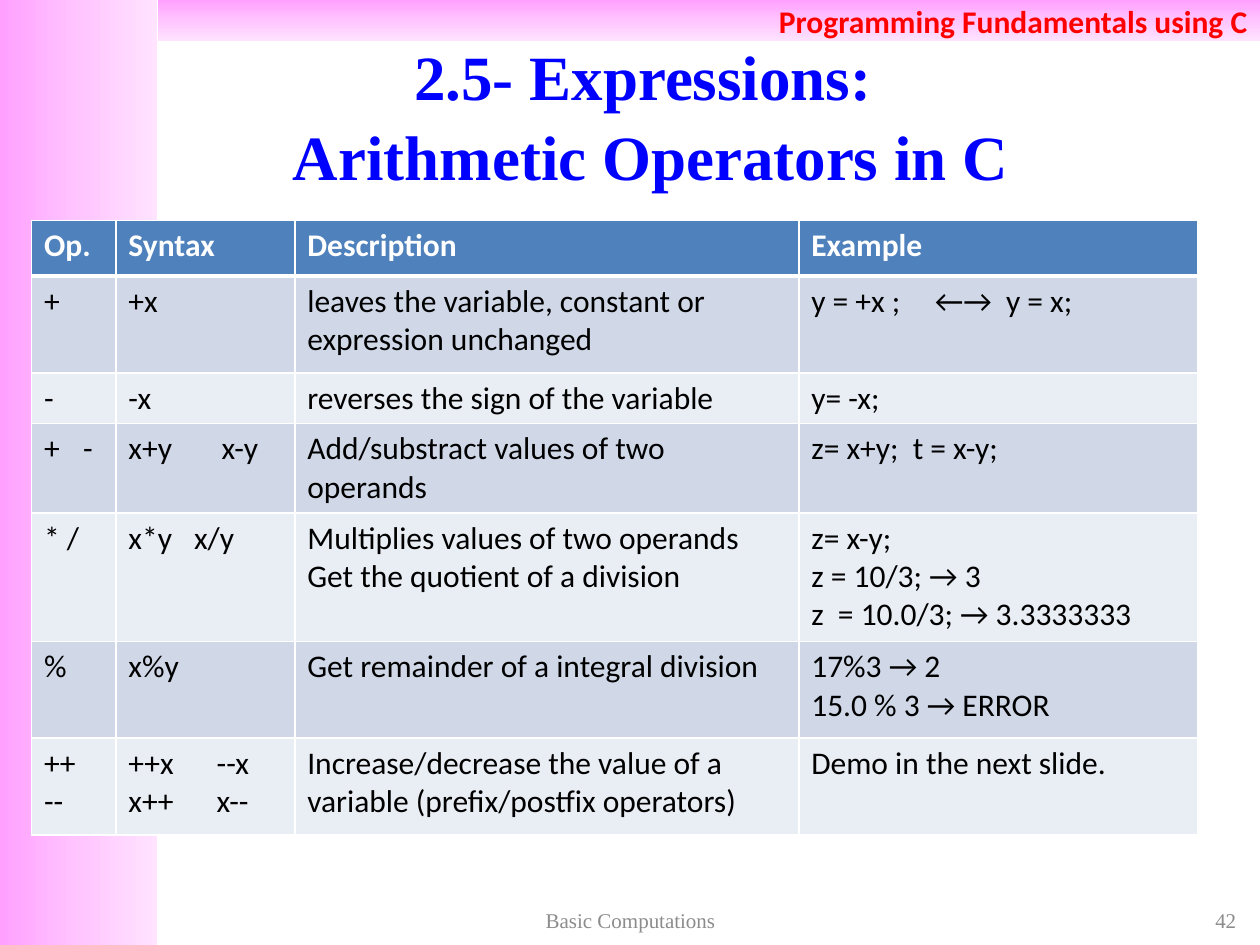
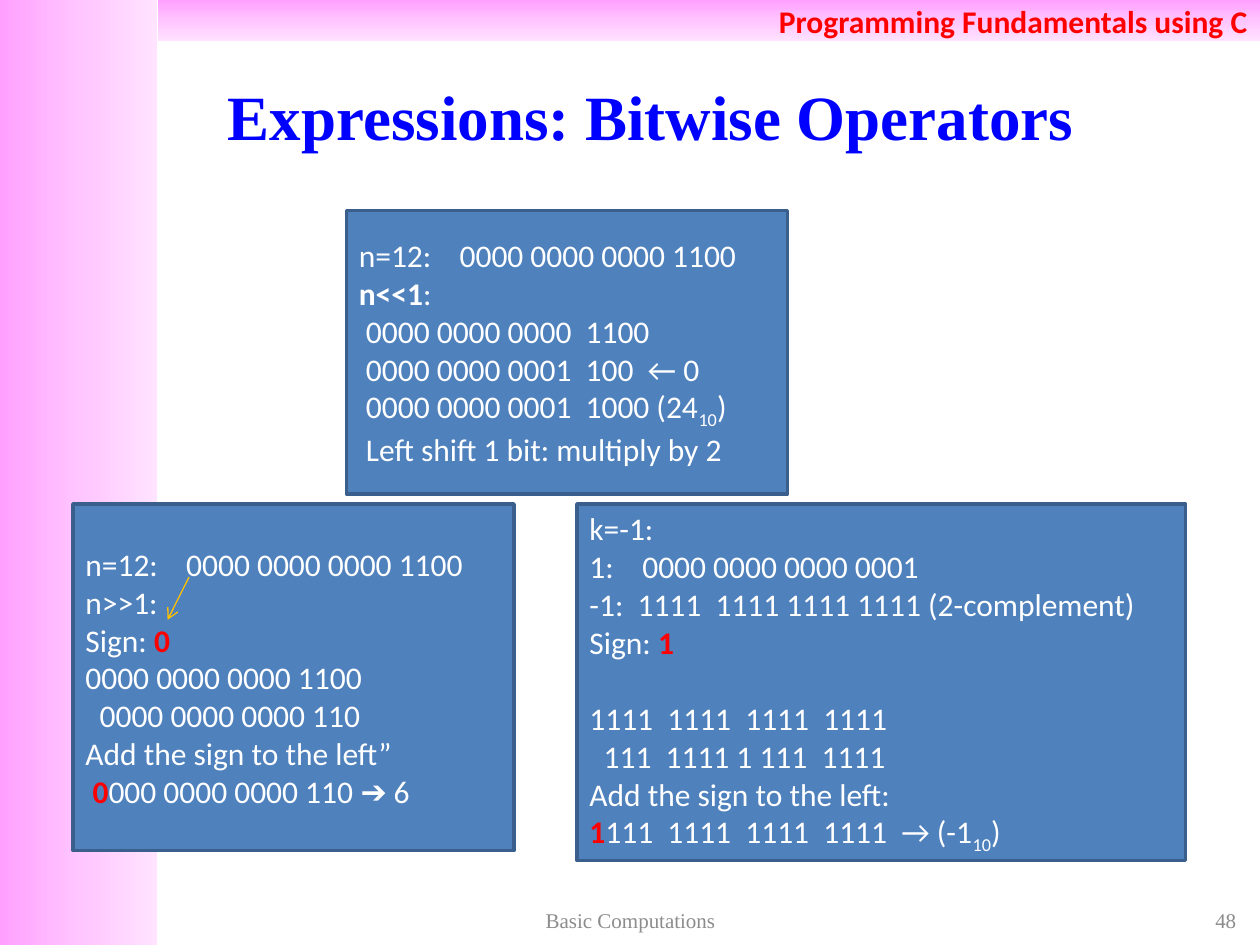
from dataclasses import dataclass

from lxml import etree
from pptx import Presentation
from pptx.dml.color import RGBColor
from pptx.enum.shapes import MSO_CONNECTOR, MSO_SHAPE
from pptx.enum.text import MSO_ANCHOR, PP_ALIGN
from pptx.oxml import parse_xml
from pptx.oxml.ns import nsdecls, qn
from pptx.util import Inches, Pt

RECTANGLE = MSO_SHAPE.RECTANGLE
STRAIGHT = MSO_CONNECTOR.STRAIGHT
TOP, MIDDLE = MSO_ANCHOR.TOP, MSO_ANCHOR.MIDDLE
LEFT, CENTER, RIGHT = PP_ALIGN.LEFT, PP_ALIGN.CENTER, PP_ALIGN.RIGHT


@dataclass(frozen=True)
class Theme:
    sans: str = "Calibri"
    serif: str = "Times New Roman"
    title_size: int = 36
    body_size: int = 18
    footer_size: int = 12
    title: str = "0000FF"
    accent: str = "FF0000"
    footer: str = "8C8C8C"
    light: str = "FFFFFF"
    dark: str = "000000"
    panel: str = "4F81BD"
    panel_line: str = "3A5F8C"
    arrow: str = "FFC000"
    row_bands: tuple = ("E9EDF4", "D0D8E8")
    band_stops: tuple = ((0, "FFA0FF"), (50, "FFC5FF"), (100, "FFE3FF"))


@dataclass(frozen=True)
class Font:
    name: str
    size: int
    color: str
    bold: bool = False


@dataclass(frozen=True)
class Span:
    text: str
    bold: bool = False
    color: str = ""
    subscript: bool = False


@dataclass(frozen=True)
class Line:
    spans: tuple
    tab: float = 0
    before: float = 0


def line(*parts, tab=0, before=0):
    spans = tuple(Span(part) if isinstance(part, str) else part for part in parts)
    return Line(spans, tab, before)


class Lesson:
    def __init__(self, theme):
        self.theme = theme
        self.deck = Presentation()
        self.deck.slide_width = Inches(10)
        self.deck.slide_height = Inches(7.5)
        self.page = None
        self.body = Font(theme.sans, theme.body_size, theme.light)

    def start_page(self, title, number):
        theme = self.theme
        self.page = self.deck.slides.add_slide(self.deck.slide_layouts[6])
        self.band(0, 0, 1.25, 7.5, 0)
        header = self.band(1.25, 0, 8.75, 0.33, 90)
        banner = Font(theme.sans, theme.body_size, theme.accent, True)
        self.add_lines(header.text_frame, [line("Programming Fundamentals using C")], banner, RIGHT)
        heading = Font(theme.serif, theme.title_size, theme.title, True)
        self.text(0.83, 0.3, 8.67, 1.2, title, heading, CENTER, 1.05)
        footer = Font(theme.serif, theme.footer_size, theme.footer)
        self.text(7.58, 7.17, 2.33, 0.27, [line(str(number))], footer, RIGHT)
        self.text(3.42, 7.17, 3.17, 0.27, [line("Basic Computations")], footer, CENTER)

    def add_lines(self, frame, lines, font, align=LEFT, spacing=None):
        frame.word_wrap = True
        frame.vertical_anchor = MIDDLE
        for index, content in enumerate(lines):
            para = frame.add_paragraph() if index else frame.paragraphs[0]
            para.alignment = align
            if spacing:
                para.line_spacing = spacing
            if content.before:
                para.space_before = Pt(content.before)
            if content.tab:
                stops = etree.SubElement(para._p.get_or_add_pPr(), qn("a:tabLst"))
                etree.SubElement(stops, qn("a:tab"), pos=str(Inches(content.tab)), algn="l")
            for span in content.spans:
                run = para.add_run()
                run.text = span.text
                run.font.name = font.name
                run.font.size = Pt(font.size)
                run.font.bold = font.bold or span.bold
                run.font.color.rgb = RGBColor.from_string(span.color or font.color)
                if span.subscript:
                    run._r.get_or_add_rPr().set("baseline", "-25000")

    def text(self, left, top, width, height, lines, font, align, spacing=None):
        box = self.page.shapes.add_textbox(Inches(left), Inches(top), Inches(width), Inches(height))
        self.add_lines(box.text_frame, lines, font, align, spacing)

    def rectangle(self, left, top, width, height):
        box = self.page.shapes.add_shape(
            RECTANGLE, Inches(left), Inches(top), Inches(width), Inches(height))
        box.shadow.inherit = False
        return box

    def band(self, left, top, width, height, angle):
        box = self.rectangle(left, top, width, height)
        box.line.fill.background()
        box.fill.background()
        stops = "".join(
            f'<a:gs pos="{position * 1000}"><a:srgbClr val="{color}"/></a:gs>'
            for position, color in self.theme.band_stops)
        gradient = parse_xml(
            f'<a:gradFill {nsdecls("a")} rotWithShape="1"><a:gsLst>{stops}</a:gsLst>'
            f'<a:lin ang="{angle * 60000}" scaled="0"/></a:gradFill>')
        properties = box._element.spPr
        properties.replace(properties.find(qn("a:noFill")), gradient)
        return box

    def panel(self, left, top, width, height, lines):
        box = self.rectangle(left, top, width, height)
        box.fill.solid()
        box.fill.fore_color.rgb = RGBColor.from_string(self.theme.panel)
        box.line.color.rgb = RGBColor.from_string(self.theme.panel_line)
        box.line.width = Pt(2)
        self.add_lines(box.text_frame, lines, self.body)

    def arrow(self, start, end):
        connector = self.page.shapes.add_connector(
            STRAIGHT, *(Inches(value) for value in start + end))
        connector.line.color.rgb = RGBColor.from_string(self.theme.arrow)
        connector.line.width = Pt(0.75)
        properties = connector._element.spPr
        etree.SubElement(properties.find(qn("a:ln")), qn("a:tailEnd"), type="arrow")
        etree.SubElement(properties, qn("a:effectLst"))

    def borders(self, cell, widths):
        properties = cell._tc.get_or_add_tcPr()
        for side, width in zip("LRTB", widths):
            properties.append(parse_xml(
                f'<a:ln{side} {nsdecls("a")} w="{Pt(width)}"><a:solidFill>'
                f'<a:srgbClr val="{self.theme.light}"/></a:solidFill></a:ln{side}>'))

    def table(self, left, top, widths, heights, rows):
        theme = self.theme
        grid = self.page.shapes.add_table(
            len(rows), len(widths), Inches(left), Inches(top),
            Inches(sum(widths)), Inches(sum(heights))).table
        grid.horz_banding = False
        for column, width in zip(grid.columns, widths):
            column.width = Inches(width)
        for row, height in zip(grid.rows, heights):
            row.height = Inches(height)
        heading = Font(theme.sans, theme.body_size, theme.light, True)
        entry = Font(theme.sans, theme.body_size, theme.dark)
        for row_index, row in enumerate(rows):
            is_header = row_index == 0
            fill = theme.panel if is_header else theme.row_bands[row_index % 2]
            widths_by_side = (1, 1, 3 if row_index == 1 else 1, 3 if is_header else 1)
            for column_index, content in enumerate(row):
                cell = grid.cell(row_index, column_index)
                self.borders(cell, widths_by_side)
                cell.fill.solid()
                cell.fill.fore_color.rgb = RGBColor.from_string(fill)
                lines = [line(content)] if isinstance(content, str) else content
                self.add_lines(cell.text_frame, lines, heading if is_header else entry)
                cell.vertical_anchor = TOP


def arithmetic_page(lesson):
    lesson.start_page([line("2.5- Expressions: "), line("Arithmetic Operators in C")], 42)
    operators = [
        ("Op.", "Syntax", "Description", "Example"),
        ("+", "+x", "leaves the variable, constant or expression unchanged",
         [line("y = +x ;\t←→  y = x;", tab=0.98)]),
        ("-", "-x", "reverses the sign of the variable", "y= -x;"),
        ([line("+\t-", tab=0.31)], [line("x+y\tx-y", tab=0.74)],
         "Add/substract values of two operands", "z= x+y;  t = x-y;"),
        ("* /", [line("x*y\tx/y", tab=0.52)],
         [line("Multiplies values of two operands"), line("Get the quotient of a division")],
         [line("z= x-y;"), line("z = 10/3; → 3"), line("z  = 10.0/3; → 3.3333333")]),
        ("%", "x%y", "Get remainder of a integral division",
         [line("17%3 → 2"), line("15.0 % 3 → ERROR")]),
        ([line("++"), line("--")],
         [line("++x\t--x", tab=0.7), line("x++\tx--", tab=0.7)],
         "Increase/decrease the value of a variable (prefix/postfix operators)",
         "Demo in the next slide."),
    ]
    lesson.table(0.25, 1.75, (0.67, 1.42, 4, 3.17),
                 (0.44, 0.77, 0.4, 0.71, 1.02, 0.77, 0.77), operators)


def bitwise_page(lesson):
    lesson.start_page([line("Expressions: Bitwise Operators")], 48)
    zero, one = (Span(bit, bold=True, color=lesson.theme.accent) for bit in "01")
    base_ten = Span("10", subscript=True)
    twelve = line("n=12:\t0000 0000 0000 1100", tab=0.8)
    lesson.panel(0.58, 4, 3.5, 2.75, [
        twelve,
        line("n>>1:"),
        line("Sign: ", zero),
        line("0000 0000 0000 1100"),
        line("  0000 0000 0000 110"),
        line("Add the sign to the left”"),
        line(" ", zero, "000 0000 0000 110 ➔ 6"),
    ])
    lesson.panel(4.58, 4, 4.83, 2.83, [
        line("k=-1:"),
        line("1:\t0000 0000 0000 0001", tab=0.42),
        line("-1:  1111  1111 1111 1111 (2-complement)"),
        line("Sign: ", one),
        line("1111  1111  1111  1111", before=22),
        line("  111  1111 1 111  1111"),
        line("Add the sign to the left:"),
        line(one, "111  1111  1111  1111  → (-1", base_ten, ")"),
    ])
    lesson.arrow((1.5, 4.58), (1.33, 4.92))
    lesson.panel(2.75, 1.67, 3.5, 2.25, [
        twelve,
        line(Span("n<<1", bold=True), ":"),
        line(" 0000 0000 0000  1100"),
        line(" 0000 0000 0001  100  ← 0"),
        line(" 0000 0000 0001  1000 (24", base_ten, ")"),
        line(" Left shift 1 bit: multiply by 2"),
    ])


def main():
    lesson = Lesson(Theme())
    arithmetic_page(lesson)
    bitwise_page(lesson)
    lesson.deck.save("out.pptx")


if __name__ == "__main__":
    main()
